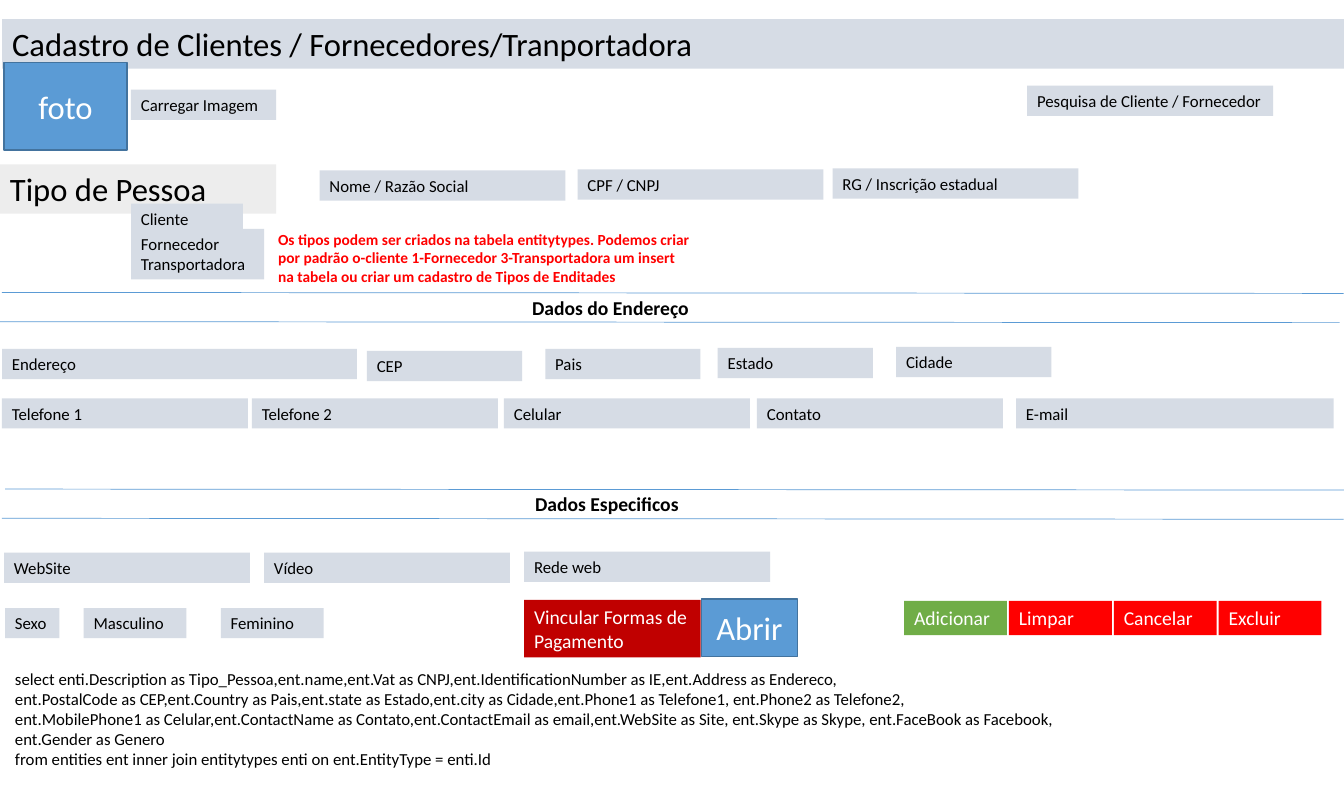
from lxml import etree
from pptx import Presentation
from pptx.dml.color import RGBColor
from pptx.enum import shapes, text
from pptx.oxml import ns
from pptx.util import Inches, Pt

HUES = {"field": "D6DCE5", "type": "EDEDED", "blue": "5B9BD5", "edge": "43739E",
        "green": "70AD47", "red": "FF0000", "dark": "C00000",
        "black": "000000", "white": "FFFFFF"}
LEFT, MID = text.PP_ALIGN.LEFT, text.PP_ALIGN.CENTER
TOP, CORE = text.MSO_ANCHOR.TOP, text.MSO_ANCHOR.MIDDLE
GROW, FIXED = text.MSO_AUTO_SIZE.SHAPE_TO_FIT_TEXT, text.MSO_AUTO_SIZE.NONE


def write(box, words, size, hue="black", bold=False, wrap=True, mid=False):
    frame = box.text_frame
    frame.text = words
    look = {"word_wrap": wrap, "auto_size": FIXED if mid else GROW,
            "vertical_anchor": CORE if mid else TOP,
            "margin_left": Inches(0.1), "margin_right": Inches(0.1),
            "margin_top": Inches(0.05), "margin_bottom": Inches(0.05)}
    for key, value in look.items():
        setattr(frame, key, value)
    for para in frame.paragraphs:
        para.alignment = MID if mid else LEFT
        for key, value in {"name": "Calibri", "size": Pt(size), "bold": bold}.items():
            setattr(para.font, key, value)
        para.font.color.rgb = RGBColor.from_string(HUES[hue])


def block(words, x, y, w, h, size=12, fill="field", hue="black", edge=None):
    box = slide.shapes.add_shape(shapes.MSO_SHAPE.RECTANGLE,
                                 Inches(x), Inches(y), Inches(w), Inches(h))
    box.shadow.inherit = False
    box.fill.solid()
    box.fill.fore_color.rgb = RGBColor.from_string(HUES[fill])
    if edge:
        box.line.color.rgb = RGBColor.from_string(HUES[edge])
        box.line.width = Pt(1)
    else:
        box.line.fill.background()
    write(box, words, size, hue, mid=bool(edge))


deck = Presentation()
deck.slide_width, deck.slide_height = Inches(40 / 3), Inches(20 / 2.54)
slide = deck.slides.add_slide(deck.slide_layouts[5])

title = slide.shapes.title
for key, value in {"left": 0.02, "top": 0.19, "width": 13.32, "height": 0.49}.items():
    setattr(title, key, Inches(value))
title.fill.solid()
title.fill.fore_color.rgb = RGBColor.from_string(HUES["field"])
write(title, "Cadastro de Clientes / Fornecedores/Tranportadora", 23.3)
title.text_frame.auto_size = FIXED

block("Tipo de Pessoa", 0, 1.63, 2.74, 0.49, 23.3, "type")
block("Cliente", 1.3, 2.02, 1.11, 0.3)
block("Fornecedor\nTransportadora", 1.3, 2.27, 1.32, 0.5)

fields = [
    ("Carregar Imagem", 1.3, 0.89, 1.44),
    ("Pesquisa de Cliente / Fornecedor", 10.19, 0.85, 2.44),
    ("Nome / Razão Social", 3.17, 1.69, 2.44),
    ("CPF / CNPJ", 5.73, 1.68, 2.44),
    ("RG / Inscrição estadual", 8.26, 1.67, 2.44),
    ("Endereço", 0.02, 3.46, 3.52),
    ("CEP", 3.64, 3.48, 1.54),
    ("Pais", 5.41, 3.46, 1.54),
    ("Estado", 7.12, 3.45, 1.54),
    ("Cidade", 8.89, 3.44, 1.54),
    ("Telefone 1", 0.02, 3.95, 2.44),
    ("Telefone 2", 2.5, 3.95, 2.44),
    ("Celular", 5, 3.95, 2.44),
    ("Contato", 7.51, 3.95, 2.44),
    ("E-mail", 10.08, 3.95, 3.15),
    ("WebSite", 0.04, 5.48, 2.44),
    ("Vídeo", 2.62, 5.48, 2.44),
    ("Rede web", 5.2, 5.47, 2.44),
    ("Sexo", 0.05, 6.03, 0.54),
    ("Masculino", 0.83, 6.03, 1.02),
    ("Feminino", 2.19, 6.03, 1.02),
]
for words, x, y, w in fields:
    block(words, x, y, w, 0.3)

for x, y in [(0.02, 2.9), (-0.02, 3.19), (0.05, 4.85), (0.02, 5.14)]:
    rule = slide.shapes.add_connector(shapes.MSO_CONNECTOR.STRAIGHT, Inches(x), Inches(y),
                                      Inches(x + 13.31), Inches(y + 0.01))
    rule.line.color.rgb = RGBColor.from_string(HUES["blue"])
    rule.line.width = Pt(0.5)
    etree.SubElement(rule._element.spPr, ns.qn("a:effectLst"))

query = """select enti.Description as Tipo_Pessoa,ent.name,ent.Vat as CNPJ,ent.IdentificationNumber as IE,ent.Address as Endereco,
ent.PostalCode as CEP,ent.Country as Pais,ent.state as Estado,ent.city as Cidade,ent.Phone1 as Telefone1, ent.Phone2 as Telefone2,
ent.MobilePhone1 as Celular,ent.ContactName as Contato,ent.ContactEmail as email,ent.WebSite as Site, ent.Skype as Skype, ent.FaceBook as Facebook,
ent.Gender as Genero
from entities ent inner join entitytypes enti on ent.EntityType = enti.Id"""
hint = ("Os tipos podem ser criados na tabela entitytypes. Podemos criar por padrão "
        "o-cliente 1-Fornecedor 3-Transportadora um insert na tabela ou criar um "
        "cadastro de Tipos de Enditades")
notes = [
    ("Dados do Endereço", 5.18, 2.89, 1.77, 0.34, 14, "black", True, False),
    ("Dados Especificos", 5.21, 4.83, 1.64, 0.34, 14, "black", True, False),
    (query, 0.05, 6.58, 13.19, 1.11, 12, "black", False, True),
    (hint, 2.66, 2.23, 4.29, 0.66, 11, "red", True, True),
]
for words, x, y, w, h, size, hue, bold, wrap in notes:
    box = slide.shapes.add_textbox(Inches(x), Inches(y), Inches(w), Inches(h))
    write(box, words, size, hue, bold, wrap)

for i, words in enumerate(["Adicionar", "Limpar", "Cancelar", "Excluir"]):
    block(words, 8.97 + 1.04 * i, 5.96, 1.02, 0.34, 14, "red" if i else "green", "white")
block("Vincular Formas de Pagamento", 5.2, 5.95, 1.75, 0.57, 14, "dark", "white")
block("foto", 0.04, 0.62, 1.22, 0.87, 23.3, "blue", "white", "edge")
block("Abrir", 6.96, 5.94, 0.95, 0.57, 23.3, "blue", "white", "edge")

deck.save("out.pptx")
